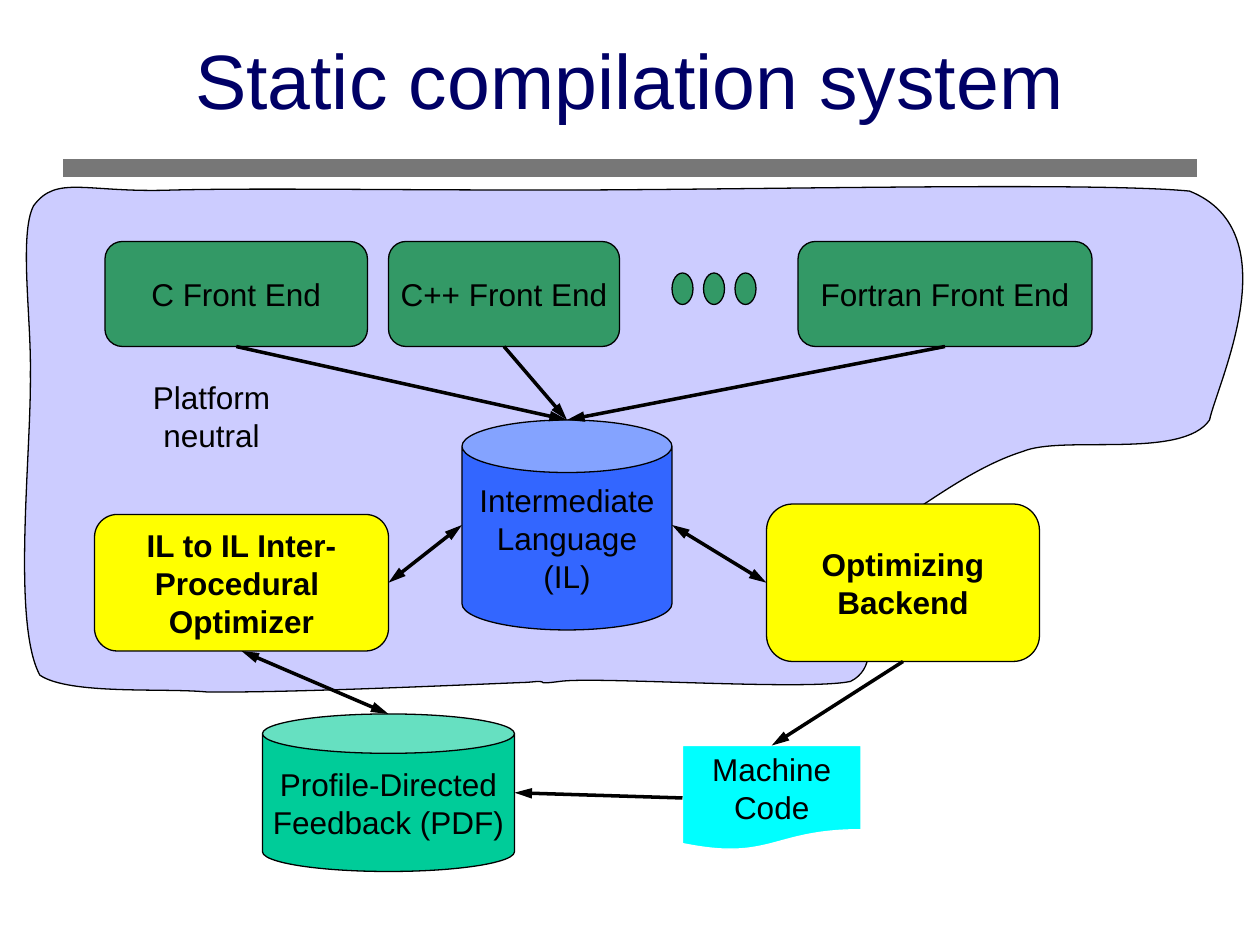
"""Build the slide that shows the parts of a static compilation system."""

from lxml.etree import SubElement
from pptx import Presentation
from pptx.dml.color import RGBColor
from pptx.enum.shapes import MSO_CONNECTOR, MSO_SHAPE
from pptx.enum.text import MSO_ANCHOR, PP_ALIGN
from pptx.oxml.ns import qn
from pptx.util import Pt

PX = 7620
BLACK = RGBColor(0x00, 0x00, 0x00)
WHITE = RGBColor(0xFF, 0xFF, 0xFF)
NAVY = RGBColor(0x00, 0x00, 0x66)
GRAY = RGBColor(0x77, 0x77, 0x77)
LAVENDER = RGBColor(0xCC, 0xCC, 0xFF)
GREEN = RGBColor(0x33, 0x99, 0x66)
YELLOW = RGBColor(0xFF, 0xFF, 0x00)
BLUE = RGBColor(0x33, 0x66, 0xFF)
TEAL = RGBColor(0x00, 0xCC, 0x99)
CYAN = RGBColor(0x00, 0xFF, 0xFF)


def paint(shape, fill, outline=BLACK):
    shape.shadow.inherit = False
    shape.fill.solid()
    shape.fill.fore_color.rgb = fill
    shape.line.color.rgb = outline
    shape.line.width = Pt(0.75)


def write(shape, text, size=18, color=BLACK, bold=False, wrap=False):
    frame = shape.text_frame
    frame.word_wrap = wrap
    frame.vertical_anchor = MSO_ANCHOR.MIDDLE
    frame.text = text
    for para in frame.paragraphs:
        para.alignment = PP_ALIGN.CENTER
        for span in para.runs:
            span.font.name = "Arial"
            span.font.size = Pt(size)
            span.font.bold = bold
            span.font.color.rgb = color


deck = Presentation()
deck.slide_width = 1200 * PX
deck.slide_height = 900 * PX
page = deck.slides.add_slide(deck.slide_layouts[6])
shapes = page.shapes

rule = shapes.add_connector(MSO_CONNECTOR.STRAIGHT, 60 * PX, 160 * PX, 1140 * PX, 160 * PX)
rule.line.color.rgb = GRAY
rule.line.width = Pt(10)
SubElement(rule._element.spPr, qn("a:effectLst"))

region_curves = [
    (274, 660), (446, 652), (498, 650),
    (504, 650), (509, 649), (514, 649),
    (520, 649), (510, 652), (533, 649),
    (566, 644), (766, 658), (810, 649),
    (856, 626), (796, 540), (802, 515),
    (802, 515), (845, 502), (845, 502),
    (874, 487), (923, 446), (974, 430),
    (1012, 414), (1126, 438), (1152, 400),
    (1159, 366), (1230, 221), (1133, 182),
    (1039, 173), (708, 181), (526, 181),
    (364, 181), (246, 179), (164, 181),
    (82, 184), (54, 166), (32, 196),
    (18, 223), (30, 304), (29, 356),
    (30, 431), (11, 593), (38, 643),
    (66, 662), (156, 655), (197, 659),
]
builder = shapes.build_freeform(*region_curves[-1], scale=PX)
builder.add_line_segments(region_curves, close=True)
region = builder.convert_to_shape()
paint(region, LAVENDER)
segments = list(region._element.iter(qn("a:lnTo")))
for first, second, end in zip(segments[::3], segments[1::3], segments[2::3]):
    curve = first.makeelement(qn("a:cubicBezTo"))
    first.addprevious(curve)
    for segment in (first, second, end):
        curve.append(segment[0])
        segment.getparent().remove(segment)

parts = [
    ("c", MSO_SHAPE.ROUNDED_RECTANGLE, 100, 230, 250, 100, GREEN, "C Front End"),
    ("optimizer", MSO_SHAPE.ROUNDED_RECTANGLE, 90, 490, 280, 130, YELLOW,
     "IL to IL Inter-\nProcedural \nOptimizer"),
    ("language", MSO_SHAPE.CAN, 440, 400, 200, 200, BLUE, "Intermediate\nLanguage\n(IL)"),
    ("feedback", MSO_SHAPE.CAN, 250, 680, 240, 150, TEAL, "Profile-Directed\nFeedback (PDF)"),
    ("cpp", MSO_SHAPE.ROUNDED_RECTANGLE, 370, 230, 220, 100, GREEN, "C++ Front End"),
    ("fortran", MSO_SHAPE.ROUNDED_RECTANGLE, 760, 230, 280, 100, GREEN, "Fortran Front End"),
    ("backend", MSO_SHAPE.ROUNDED_RECTANGLE, 730, 480, 260, 150, YELLOW, "Optimizing\nBackend"),
    ("code", MSO_SHAPE.FLOWCHART_DOCUMENT, 650, 710, 170, 100, CYAN, "Machine\nCode"),
]
boxes = {}
for name, kind, left, top, width, height, fill, text in parts:
    box = shapes.add_shape(kind, left * PX, top * PX, width * PX, height * PX)
    paint(box, fill, WHITE if name == "code" else BLACK)
    write(box, text, bold=fill == YELLOW)
    boxes[name] = box

dots = shapes.add_group_shape()
for left in range(640, 701, 30):
    dot = dots.shapes.add_shape(MSO_SHAPE.OVAL, left * PX, 260 * PX, 20 * PX, 30 * PX)
    paint(dot, GREEN)

title = shapes.add_textbox(90 * PX, -10 * PX, 1020 * PX, 170 * PX)
write(title, "Static compilation system", size=44, color=NAVY, wrap=True)

TOP, LEFT, BOTTOM, RIGHT = range(4)
arrows = [
    ("language", LEFT, "optimizer", RIGHT, True),
    ("backend", LEFT, "language", RIGHT, True),
    ("c", BOTTOM, "language", TOP, False),
    ("cpp", BOTTOM, "language", TOP, False),
    ("fortran", BOTTOM, "language", TOP, False),
    ("backend", BOTTOM, "code", TOP, False),
    ("code", LEFT, "feedback", RIGHT, False),
    ("feedback", TOP, "optimizer", BOTTOM, True),
]
for source, source_side, target, target_side, both_ways in arrows:
    ends = []
    for name, side in ((source, source_side), (target, target_side)):
        box = boxes[name]
        across = {LEFT: 0, RIGHT: 2}.get(side, 1)
        down = {TOP: 0, BOTTOM: 2}.get(side, 1)
        ends += [box.left + box.width * across // 2, box.top + box.height * down // 2]
    arrow = shapes.add_connector(MSO_CONNECTOR.STRAIGHT, *ends)
    if boxes[source].auto_shape_type != MSO_SHAPE.CAN:
        arrow.begin_connect(boxes[source], source_side)
    if boxes[target].auto_shape_type != MSO_SHAPE.CAN:
        arrow.end_connect(boxes[target], target_side)
    arrow.line.color.rgb = BLACK
    arrow.line.width = Pt(2)
    stroke = arrow.line._get_or_add_ln()
    for tag in ("a:headEnd", "a:tailEnd") if both_ways else ("a:tailEnd",):
        SubElement(stroke, qn(tag), type="triangle", w="med", len="lg")
    SubElement(arrow._element.spPr, qn("a:effectLst"))

label = shapes.add_textbox(84 * PX, 372 * PX, 235 * PX, 48 * PX)
write(label, "Platform neutral")

deck.save("out.pptx")
